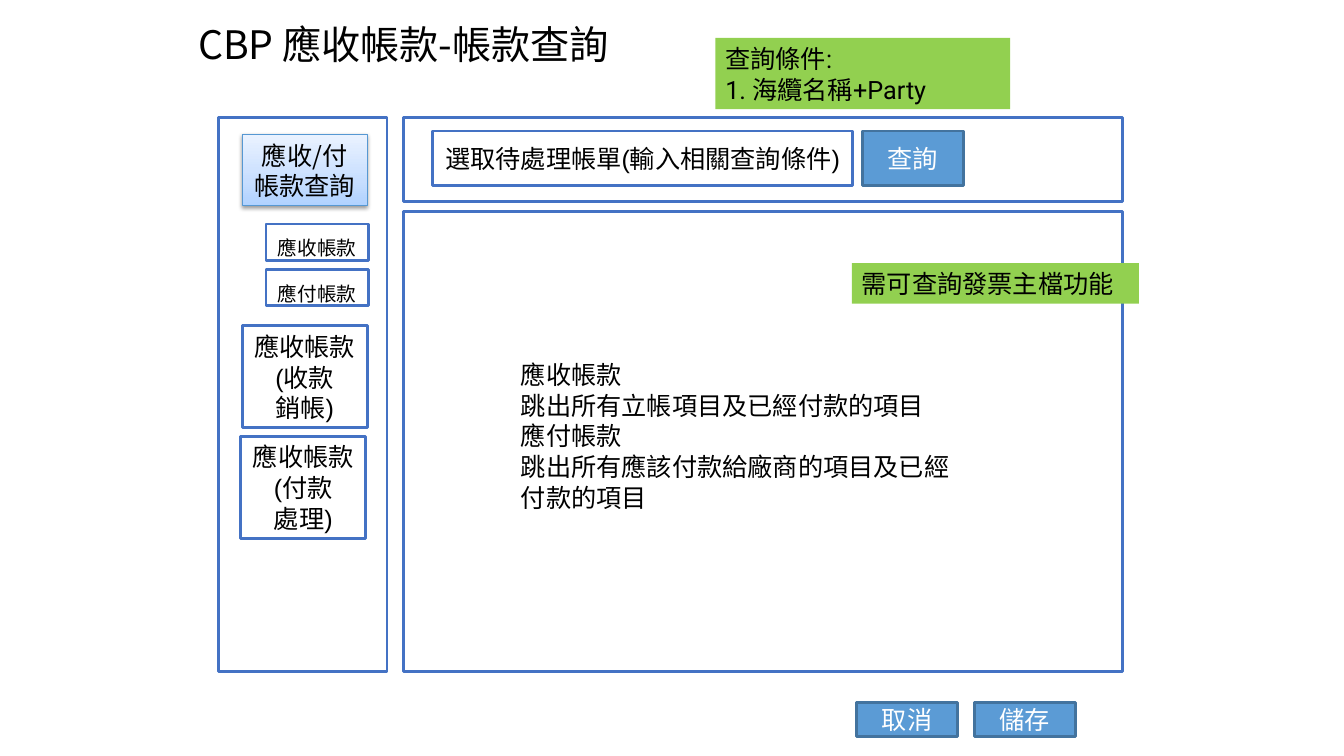
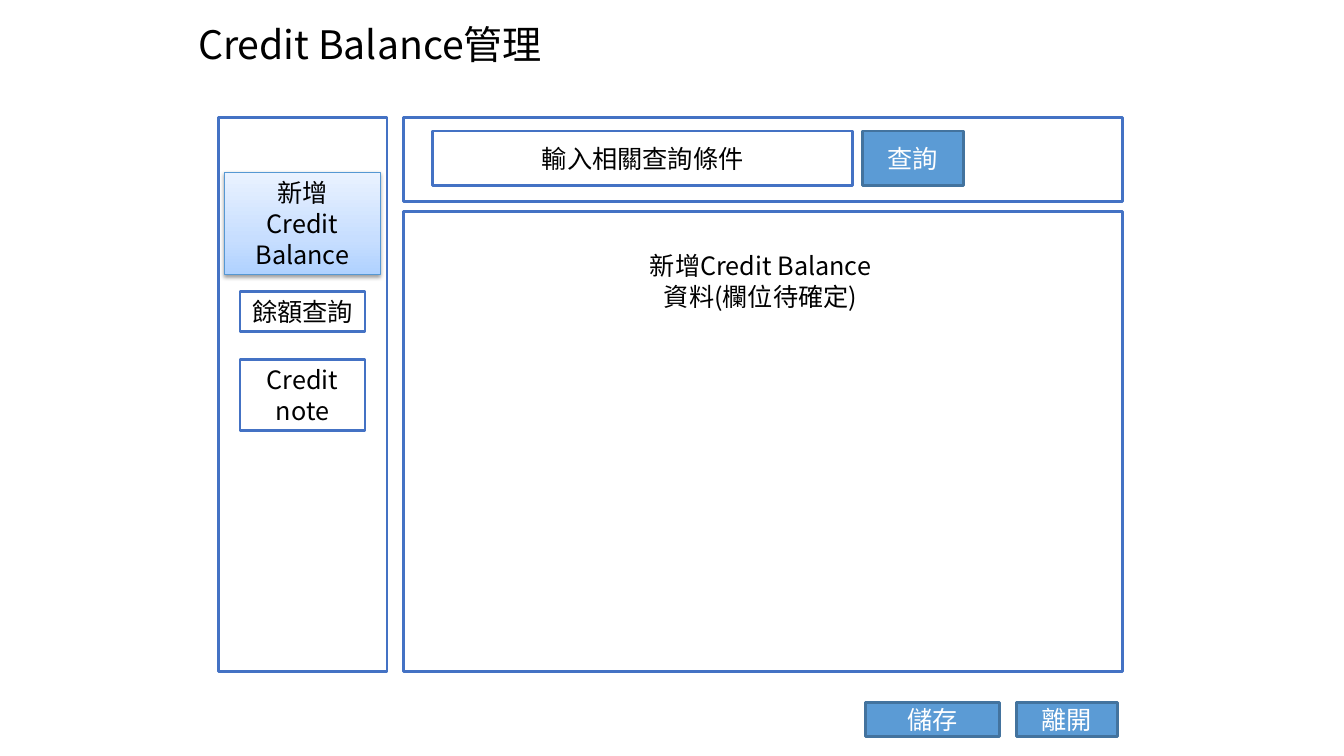
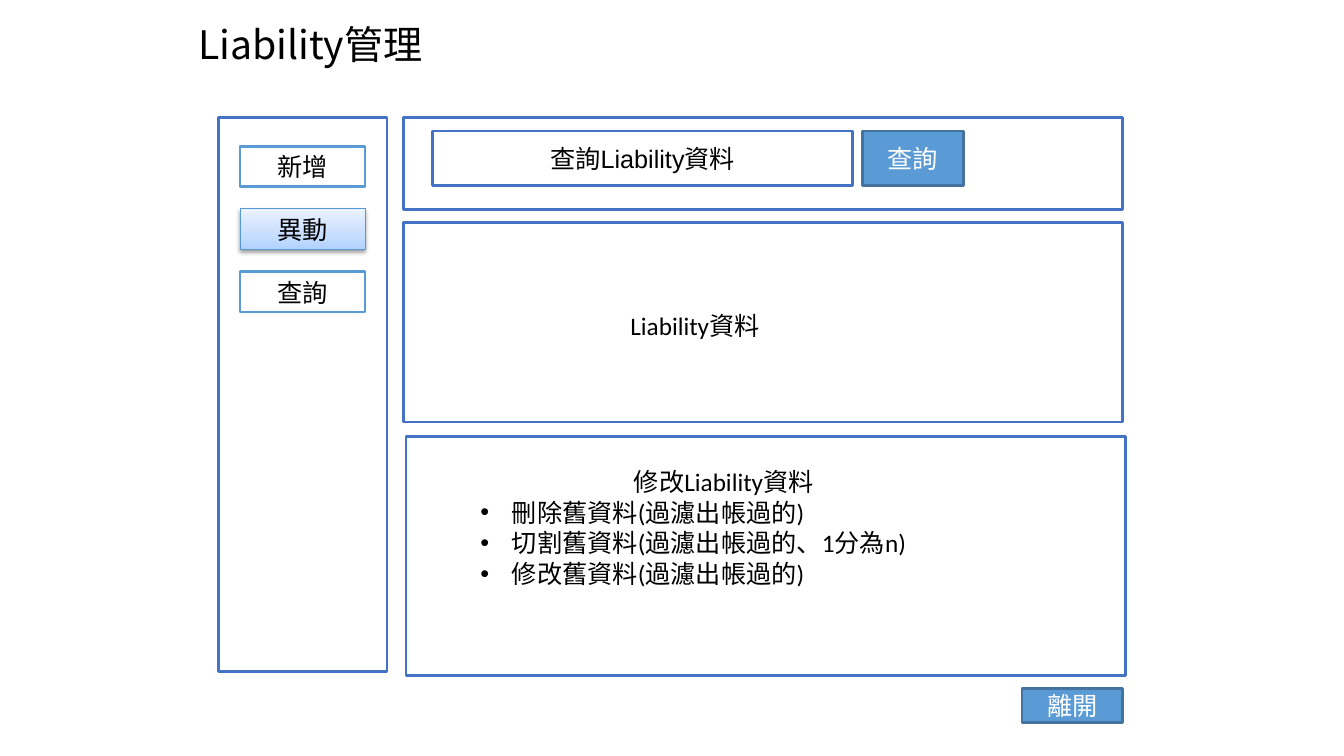
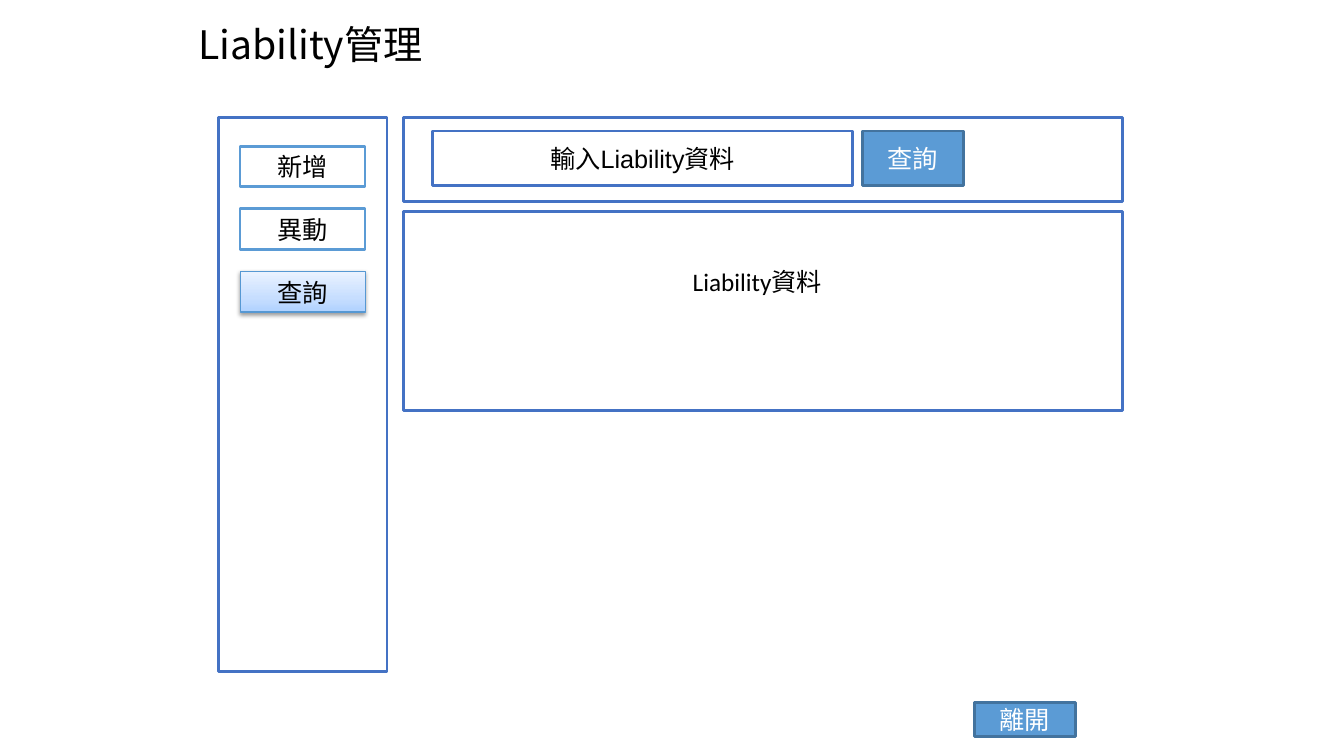
from pptx import Presentation
from pptx.dml.color import RGBColor
from pptx.enum.shapes import MSO_SHAPE as Preset
from pptx.enum.text import MSO_ANCHOR as Anchor, PP_ALIGN as Align
from pptx.oxml.ns import qn
from pptx.util import Pt
from lxml.etree import SubElement

COLORS = {
    "white": "FFFFFF", "black": "000000", "frame": "4472C4",
    "button": "5B9BD5", "button_edge": "43739E", "active_edge": "5698D3",
    "note": "92D050", "deep": "B0D2FF", "mid": "C7DEFF", "pale": "EAF2FF",
}
NOTO = "Noto Sans CJK SC"
ACTIVE_STOPS = ((0, "deep"), (35, "mid"), (100, "pale"))
MENU_LEFT, MENU_TOP, MENU_STEP = 171.5, 104.5, 44.7
MENU_WIDTH, MENU_HEIGHT = 89.3, 29
PANEL_LEFT, PANEL_TOP, PANEL_WIDTH = 288, 84, 514


def rgb(name):
    return RGBColor.from_string(COLORS[name])


def assign(target, **values):
    for name, value in values.items():
        setattr(target, name, value)


def add_bullet(para):
    properties = para._p.get_or_add_pPr()
    properties.set("marL", str(Pt(22.5)))
    properties.set("indent", str(-Pt(22.5)))
    SubElement(properties, qn("a:buFont")).set("typeface", "Arial")
    SubElement(properties, qn("a:buChar")).set("char", "•")


def write(box, lines, font="Calibri", size=18, color="black",
          align=Align.CENTER, anchor=Anchor.MIDDLE, spacing=Pt(22), bullets_from=None):
    frame = box.text_frame
    assign(frame, word_wrap=True, vertical_anchor=anchor)
    for index, line in enumerate(lines.split("\n")):
        para = frame.paragraphs[0] if index == 0 else frame.add_paragraph()
        bulleted = bullets_from is not None and index >= bullets_from
        assign(para, alignment=Align.LEFT if bulleted else align, line_spacing=spacing)
        if bulleted:
            add_bullet(para)
        span = para.add_run()
        span.text = line
        assign(span.font, name=font, size=Pt(size))
        span.font.color.rgb = rgb(color)


def add_box(slide, area, fill="white", edge="frame", weight=2):
    box = slide.shapes.add_shape(Preset.RECTANGLE, *map(Pt, area))
    box.shadow.inherit = False
    box.fill.solid()
    box.fill.fore_color.rgb = rgb(fill)
    if edge:
        box.line.color.rgb = rgb(edge)
        box.line.width = Pt(weight)
    else:
        box.line.fill.background()
    return box


def add_text(slide, area, lines, **style):
    box = slide.shapes.add_textbox(*map(Pt, area))
    write(box, lines, **style)
    return box


def add_field(slide, area, lines, edge="frame", **style):
    write(add_box(slide, area, edge=edge), lines, **style)


def add_button(slide, area, label, font="Roboto"):
    write(add_box(slide, area, "button", "button_edge"), label, font=font, color="white")


def add_note(slide, area, lines):
    write(add_box(slide, area, "note", None), lines, font="Roboto",
          align=Align.LEFT, anchor=Anchor.TOP)


def add_active(slide, area, lines, font=NOTO):
    box = add_box(slide, area, edge="active_edge", weight=0.75)
    box.fill.gradient()
    box.fill.gradient_angle = 90
    properties = box._element.spPr
    stops = properties.find(qn("a:gradFill")).find(qn("a:gsLst"))
    for stop in list(stops):
        stops.remove(stop)
    for position, name in ACTIVE_STOPS:
        stop = SubElement(stops, qn("a:gs"), pos=str(position * 1000))
        SubElement(stop, qn("a:srgbClr"), val=COLORS[name])
    shadow = SubElement(properties.find(qn("a:effectLst")), qn("a:outerShdw"),
                        blurRad=str(Pt(3.1)), dist=str(Pt(1.6)),
                        dir="5400000", rotWithShape="0")
    shade = SubElement(shadow, qn("a:srgbClr"), val=COLORS["black"])
    SubElement(shade, qn("a:alpha"), val="38000")
    write(box, lines, font=font)


def add_screen(deck, title, query, query_font="Arial", button_font="Calibri",
               search_height=60, content_top=151, content_height=328.5):
    slide = deck.slides.add_slide(deck.slide_layouts[6])
    heading = add_text(slide, (138, 12, 648, 43), title, font=NOTO, size=28,
                       align=Align.LEFT, spacing=0.9)
    assign(heading.text_frame, margin_left=Pt(3.6), margin_right=Pt(3.6))
    add_box(slide, (156, PANEL_TOP, 120.5, 396))
    add_box(slide, (PANEL_LEFT, PANEL_TOP, PANEL_WIDTH, search_height))
    add_box(slide, (PANEL_LEFT, content_top, PANEL_WIDTH, content_height))
    add_field(slide, (309, 93.6, 300, 39), query, font=query_font)
    add_button(slide, (616, 93.6, 72, 39), "查詢", button_font)
    return slide


def add_liability_menu(slide, active):
    for index, label in enumerate(("新增", "異動", "查詢")):
        area = (MENU_LEFT, MENU_TOP + index * MENU_STEP, MENU_WIDTH, MENU_HEIGHT)
        if label == active:
            add_active(slide, area, label, "Calibri")
        else:
            add_field(slide, area, label, edge="button")


def build_receivables(deck):
    slide = add_screen(deck, "CBP 應收帳款-帳款查詢", "選取待處理帳單(輸入相關查詢條件)")
    add_active(slide, (173, 96, MENU_WIDTH, 51), "應收/付帳款查詢")
    for top, label in ((160, "應收帳款"), (192.5, "應付帳款")):
        add_field(slide, (190, top, 73, 26), label, font="Arial", size=14, anchor=Anchor.TOP)
    for left, top, label in ((173, 232.5, "應收帳款(收款\n銷帳)"),
                             (172, 311.5, "應收帳款(付款\n處理)")):
        add_field(slide, (left, top, MENU_WIDTH, 73), label, font="Arial", anchor=Anchor.TOP)
    add_text(slide, (365, 252.5, 331, 117),
             "應收帳款\n跳出所有立帳項目及已經付款的項目\n"
             "應付帳款\n跳出所有應該付款給廠商的項目及已經付款的項目", align=Align.LEFT)
    for left, label in ((612, "取消"), (696, "儲存")):
        add_button(slide, (left, 502, 72, 24), label)
    add_note(slide, (608.5, 188, 205, 29), "需可查詢發票主檔功能")
    add_note(slide, (511, 27, 210.5, 51), "查詢條件:\n1. 海纜名稱+Party")


def build_credit_balance(deck):
    slide = add_screen(deck, "Credit Balance管理", "輸入相關查詢條件", NOTO, NOTO)
    add_active(slide, (160.5, 123, 111, 73), "新增\nCredit Balance")
    for top, height, label in ((208, 29, "餘額查詢"), (256.5, 51, "Credit note")):
        add_field(slide, (MENU_LEFT, top, MENU_WIDTH, height), label, font=NOTO)
    add_text(slide, (456.5, 175, 173.5, 51), "新增Credit Balance資料(欄位待確定)", font=NOTO)
    for left, width, label in ((618, 96, "儲存"), (726, 72, "離開")):
        add_button(slide, (left, 502, width, 24), label, NOTO)


def build_liability_change(deck):
    slide = add_screen(deck, "Liability管理", "查詢Liability資料",
                       search_height=65.5, content_top=159, content_height=142.5)
    add_liability_menu(slide, "異動")
    add_text(slide, (412, 217.5, 169, 29), "Liability資料")
    add_box(slide, (290, 312, PANEL_WIDTH, 170.5))
    add_text(slide, (336, 329, 362, 117),
             "修改Liability資料\n刪除舊資料(過濾出帳過的)\n"
             "切割舊資料(過濾出帳過的、1分為n)\n修改舊資料(過濾出帳過的)",
             anchor=Anchor.TOP, bullets_from=1)
    add_button(slide, (730, 492, 72, 24), "離開")


def build_liability_query(deck):
    slide = add_screen(deck, "Liability管理", "輸入Liability資料", content_height=142.5)
    add_liability_menu(slide, "查詢")
    add_text(slide, (456.5, 186, 169, 29), "Liability資料")
    add_button(slide, (696, 502, 72, 24), "離開")


def main():
    deck = Presentation()
    assign(deck, slide_width=Pt(960), slide_height=Pt(540))
    for build in (build_receivables, build_credit_balance,
                  build_liability_change, build_liability_query):
        build(deck)
    deck.save("out.pptx")


if __name__ == "__main__":
    main()
